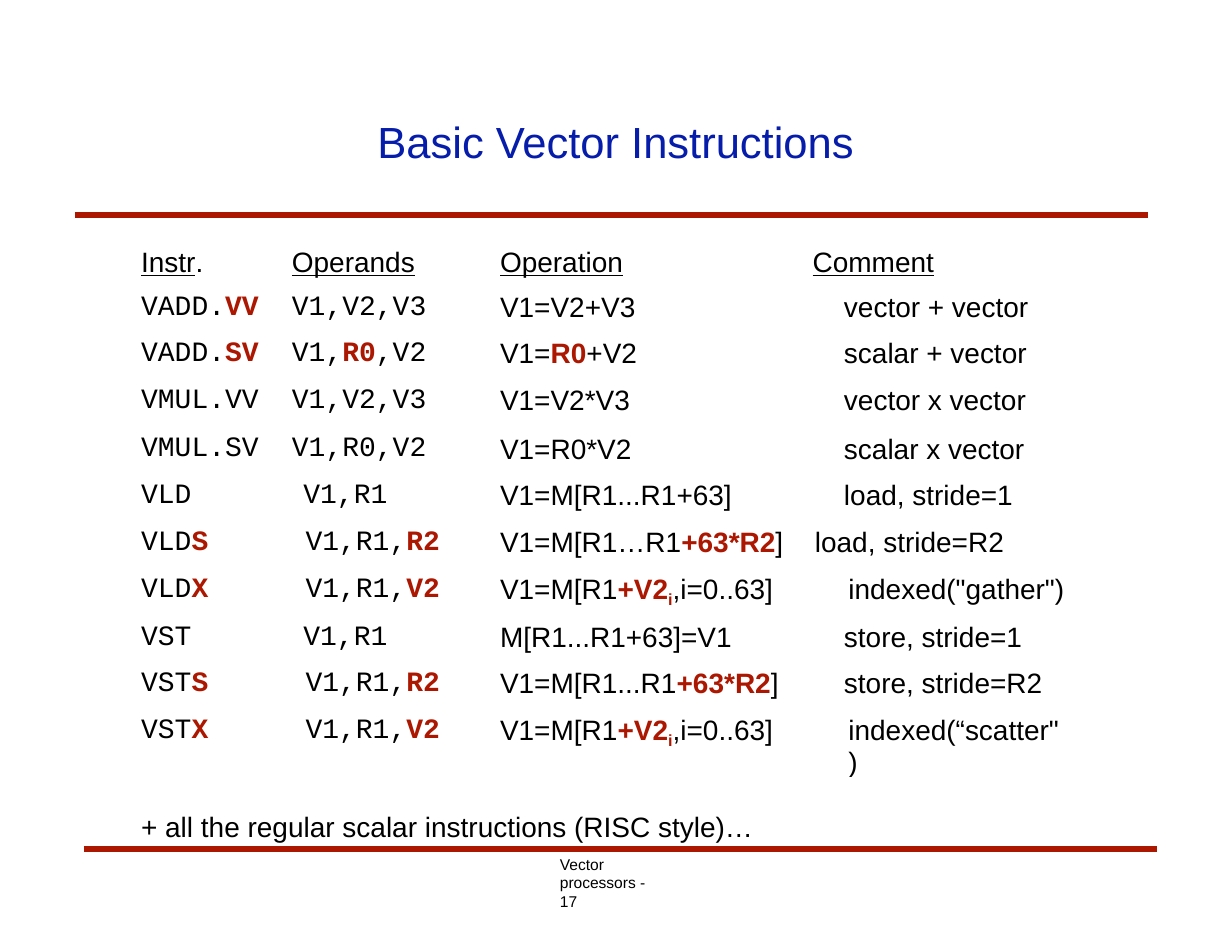
from dataclasses import dataclass

from lxml.etree import SubElement
from pptx import Presentation
from pptx.dml.color import RGBColor as Rgb
from pptx.enum.shapes import MSO_CONNECTOR as Link
from pptx.enum.text import MSO_ANCHOR as Anchor
from pptx.oxml.ns import qn
from pptx.util import Cm, Pt

COLORS = {"title": "061CAA", "red": "AB1700", "text": "000000"}
SANS, MONO = "Arial", "Courier New"
WIDTHS = (3.12, 4.39, 7.47, 6.12)


@dataclass
class Row:
    """Bars switch the red accent on and off; _ starts a subscript."""
    instr: str
    args: str
    effect: str
    note: str
    arg_pad: float = 0.38
    note_pad: float = 1.04
    height: float = 1.07
    gap: float = 2.4


@dataclass
class Label:
    text: str
    left: float
    top: float
    width: float
    height: float
    size: float


@dataclass
class Rule:
    left: float
    top: float


HEADS = ("Instr", "Operands", "Operation", "Comment")
PADS = (0.08, 0.38, 0.71, 0.33)
ROWS = [
    Row("VADD.|VV", "V1,V2,V3", "V1=V2+V3", "vector + vector", height=1.09, gap=3.4),
    Row("VADD.|SV", "V1,|R0|,V2", "V1=|R0|+V2", "scalar + vector"),
    Row("VMUL.VV", "V1,V2,V3", "V1=V2*V3", "vector x vector"),
    Row("VMUL.SV", "V1,R0,V2", "V1=R0*V2", "scalar x vector", gap=3),
    Row("VLD", "V1,R1", "V1=M[R1...R1+63]", "load, stride=1", 0.64),
    Row("VLD|S", "V1,R1,|R2", "V1=M[R1…R1|+63*R2|]", "load, stride=R2", 0.69, 0.38),
    Row("VLD|X", "V1,R1,|V2", "V1=M[R1|+V2_i|,i=0..63]", 'indexed("gather")',
        0.69, 1.14, 1.09),
    Row("VST", "V1,R1", "M[R1...R1+63]=V1", "store, stride=1", 0.64, height=1.04, gap=2.1),
    Row("VST|S", "V1,R1,|R2", "V1=M[R1...R1|+63*R2|]", "store, stride=R2", 0.69),
    Row("VST|X", "V1,R1,|V2", "V1=M[R1|+V2_i|,i=0..63]", 'indexed(“scatter")',
        0.69, 1.14, 0.97),
]
RULES = [Rule(1.7, 4.88), Rule(1.9, 19.25)]
LABELS = [
    Label("Vector processors - 17", 12.7, 19.38, 2.36, 1.3, 10),
    Label("+ all the regular scalar instructions (RISC style)…", 3.2, 18.36, 13.94, 0.84, 18),
]


def style(run, size: float, color: str = "text", font: str = SANS, bold: bool = False) -> None:
    run.font.name, run.font.size, run.font.bold = font, Pt(size), bold
    run.font.color.rgb = Rgb.from_string(COLORS[color])


def inset(box, left: float = 0, top: float = 0) -> None:
    box.margin_left, box.margin_top = Cm(left), Cm(top)
    box.margin_right = box.margin_bottom = 0


def add_run(para, text: str, font: str = SANS, red: bool = False):
    run = para.add_run()
    run.text = text
    style(run, 18, "red" if red else "text", font, red)
    return run


def fill_cell(cell, text: str, pad: float, font: str, gap: float) -> None:
    inset(cell, pad)
    cell.margin_top = Pt(gap)
    para = cell.text_frame.paragraphs[0]
    para.space_before = Pt(gap)
    for i, part in enumerate(text.split("|")):
        main, _, sub = part.partition("_")
        add_run(para, main, font, i % 2 == 1)
        if sub:
            low = add_run(para, sub, font, i % 2 == 1)
            low.font._element.set("baseline", "-21000")


def add_rule(slide, rule: Rule) -> None:
    line = slide.shapes.add_connector(
        Link.STRAIGHT, Cm(rule.left), Cm(rule.top), Cm(rule.left + 24.33), Cm(rule.top))
    line.line.color.rgb = Rgb.from_string(COLORS["red"])
    line.line.width = Pt(4)
    SubElement(line._element.spPr, qn("a:effectLst"))


def add_label(slide, label: Label) -> None:
    box = slide.shapes.add_textbox(
        Cm(label.left), Cm(label.top), Cm(label.width), Cm(label.height))
    frame = box.text_frame
    frame.word_wrap = True
    inset(frame)
    frame.text = label.text
    style(frame.paragraphs[0].runs[0], label.size)


def add_title(slide, text: str) -> None:
    title = slide.shapes.title
    title.left, title.top, title.width, title.height = Cm(2.54), Cm(1.96), Cm(22.86), Cm(2.46)
    frame = title.text_frame
    frame.text = text
    frame.vertical_anchor = Anchor.TOP
    inset(frame, 6.02, 0.64)
    para = frame.paragraphs[0]
    para.alignment = 1  # left
    para.space_before = Pt(1)
    style(para.runs[0], 28, "title")


def add_grid(slide) -> None:
    heights = [0.89] + [row.height for row in ROWS]
    table = slide.shapes.add_table(
        len(heights), len(WIDTHS), Cm(3.12), Cm(5.61), Cm(sum(WIDTHS)), Cm(sum(heights))).table
    table.first_row = table.horz_banding = False
    for col, width in zip(table.columns, WIDTHS):
        col.width = Cm(width)
    for line, height in zip(table.rows, heights):
        line.height = Cm(height)
    for cell in table.iter_cells():
        cell.fill.background()

    # Underlined heads
    for i, (head, pad) in enumerate(zip(HEADS, PADS)):
        cell = table.cell(0, i)
        inset(cell, pad)
        para = cell.text_frame.paragraphs[0]
        para.line_spacing = Pt(19.9)
        add_run(para, head).font.underline = True
        if i == 0:
            add_run(para, ".")

    # Instructions
    for n, row in enumerate(ROWS, 1):
        cells = (
            (row.instr, PADS[0], MONO),
            (row.args, row.arg_pad, MONO),
            (row.effect, PADS[2], SANS),
            (row.note, row.note_pad, SANS),
        )
        for i, (text, pad, font) in enumerate(cells):
            fill_cell(table.cell(n, i), text, pad, font, row.gap)


def main() -> None:
    deck = Presentation()
    deck.slide_width, deck.slide_height = Cm(27.94), Cm(21.59)
    slide = deck.slides.add_slide(deck.slide_layouts[5])
    for rule in RULES:
        add_rule(slide, rule)
    add_title(slide, "Basic Vector Instructions")
    add_grid(slide)
    for label in LABELS:
        add_label(slide, label)
    deck.save("out.pptx")


if __name__ == "__main__":
    main()
